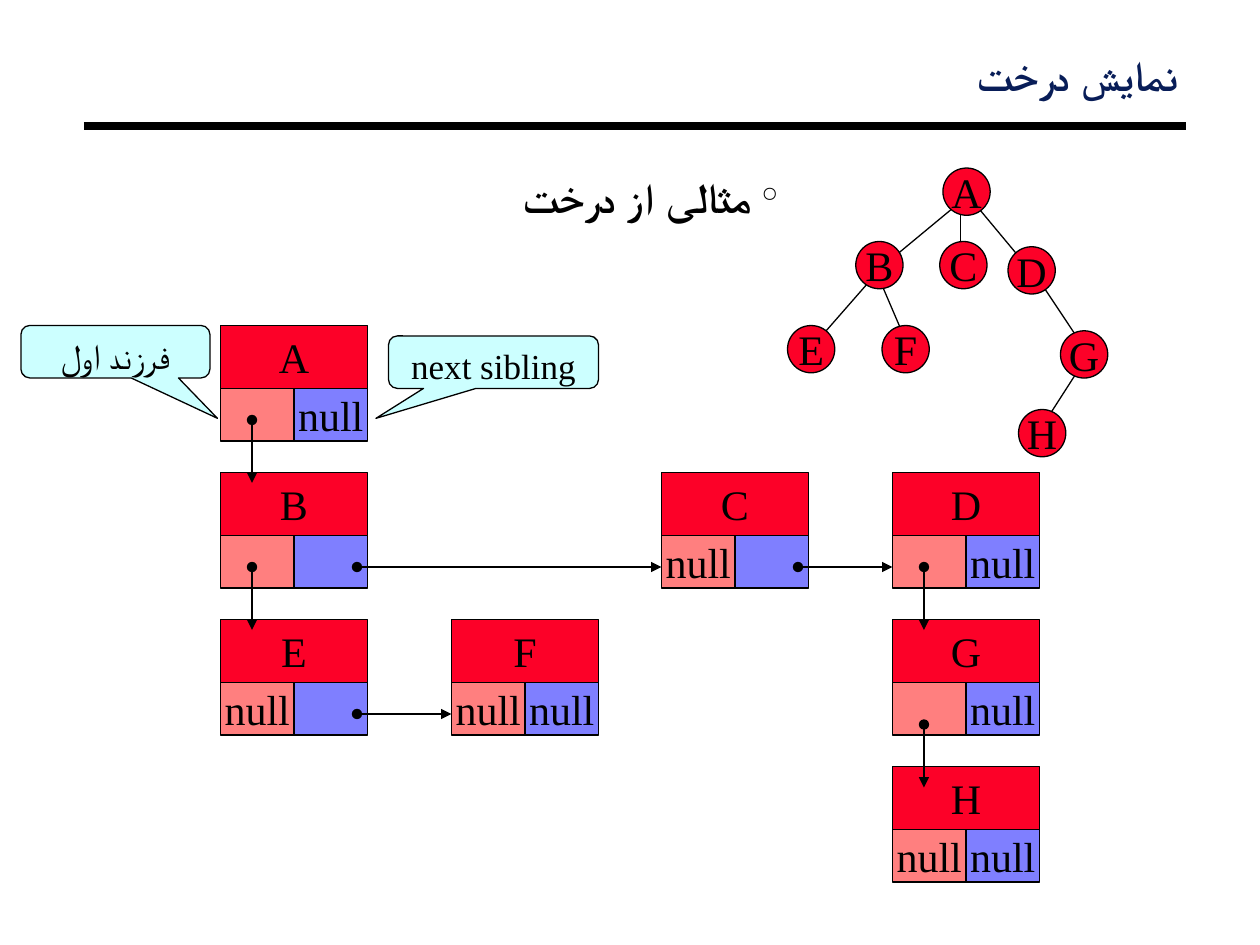
from lxml import etree
from pptx import Presentation
from pptx.dml.color import RGBColor
from pptx.enum.shapes import MSO_CONNECTOR, MSO_SHAPE
from pptx.enum.text import MSO_ANCHOR, PP_ALIGN
from pptx.oxml.ns import qn
from pptx.util import Emu, Pt

LINE = MSO_CONNECTOR.STRAIGHT
RECT, OVAL = MSO_SHAPE.RECTANGLE, MSO_SHAPE.OVAL
BUBBLE = MSO_SHAPE.ROUNDED_RECTANGULAR_CALLOUT
TOP, MIDDLE = MSO_ANCHOR.TOP, MSO_ANCHOR.MIDDLE
CENTER, RIGHT = PP_ALIGN.CENTER, PP_ALIGN.RIGHT

SCALE = 7620  # EMU per px, 120 px to the inch
WIDE, HIGH = 1200, 900
CARD, HEAD, CELL, FOOT = 140, 60, 70, 50
NODE = 45


def px(n):
    return Emu(n * SCALE)


def rgb(code):
    return RGBColor.from_string(code)


def sub(parent, tag, **attrs):
    return etree.SubElement(parent, qn(tag), attrs)


class Board:
    serif, sans = "Times New Roman", "Arial"
    black, navy = "000000", "081D58"
    red, left, right, pale = "FC0128", "FF0000", "0000FF", "CCFFFF"
    thin, thick = 0.75, 4.5

    def __init__(self, slide):
        self.slide = slide

    def font(self, para, size, name, color, bold=False):
        font = para.font
        font.size, font.name, font.bold = Pt(size), name, bold
        font.color.rgb = rgb(color)

    def text(self, x, y, w, h, words, color, align, space, bullet=None):
        """Add a right-to-left line of bold text."""
        box = self.slide.shapes.add_textbox(px(x), px(y), px(w), px(h))
        frame = box.text_frame
        frame.word_wrap = True
        frame.margin_left = frame.margin_right = px(8)
        frame.margin_top = frame.margin_bottom = px(4)
        para = frame.paragraphs[0]
        para.text = words
        para.alignment, para.line_spacing = align, space
        props = para._p.get_or_add_pPr()
        props.set("rtl", "1")
        if bullet:
            props.set("marL", str(px(26)))
            props.set("indent", str(px(-26)))
            sub(sub(props, "a:buClr"), "a:srgbClr", val=self.black)
            sub(props, "a:buChar", char=bullet)
        self.font(para, 24, self.sans, color, True)

    def shape(self, kind, x, y, w, h, fill, words="", size=24,
              anchor=MIDDLE, wrap=False, alpha=None):
        item = self.slide.shapes.add_shape(kind, px(x), px(y), px(w), px(h))
        item.shadow.inherit = False
        item.fill.solid()
        item.fill.fore_color.rgb = rgb(fill)
        if alpha:
            color = item._element.spPr.find(qn("a:solidFill"))[0]
            sub(color, "a:alpha", val=str(alpha * 1000))
        item.line.color.rgb = rgb(self.black)
        item.line.width = Pt(self.thin)
        if words:
            frame = item.text_frame
            frame.word_wrap, frame.vertical_anchor = wrap, anchor
            para = frame.paragraphs[0]
            para.text, para.alignment = words, CENTER
            self.font(para, size, self.serif, self.black)
        return item

    def line(self, x1, y1, x2, y2, width=thin, arrow=False):
        item = self.slide.shapes.add_connector(
            LINE, px(x1), px(y1), px(x2), px(y2))
        item.line.color.rgb = rgb(self.black)
        item.line.width = Pt(width)
        if arrow:
            stroke = item.line._get_or_add_ln()
            sub(stroke, "a:headEnd", type="oval")
            sub(stroke, "a:tailEnd", type="triangle")
        sub(item._element.spPr, "a:effectLst")

    def card(self, x, y, name, child, next_):
        """Add a record: its name over a child cell and a sibling cell."""
        self.shape(RECT, x, y, CARD, HEAD, self.red, name)
        for i, (fill, words) in enumerate(
                ((self.left, child), (self.right, next_))):
            self.shape(RECT, x + i * CELL, y + HEAD, CELL, FOOT, fill,
                       words, alpha=50)

    def bubble(self, x, y, w, words, tip):
        item = self.shape(BUBBLE, x, y, w, 50, self.pale, words, 20, TOP, True)
        for i, value in enumerate((*tip, 0.17)):
            item.adjustments[i] = value


EDGES = [
    (915, 180, 915, 260), (1035, 340, 990, 410), (985, 260, 1025, 320),
    (835, 260, 765, 340), (835, 260, 865, 330), (915, 192, 845, 250),
    (925, 190, 975, 250),
]
NODES = {
    "A": (898, 160), "B": (815, 230), "D": (960, 235), "F": (840, 310),
    "G": (1010, 315), "H": (970, 390), "E": (750, 310), "C": (895, 230),
}
COLS = (210, 430, 630, 850)
ROWS = [310 + 140 * i for i in range(4)]
# name: column, row, first child, next sibling
CARDS = {
    "A": (0, 0, "B", None), "B": (0, 1, "E", "C"), "C": (2, 1, None, "D"),
    "D": (3, 1, "G", None), "E": (0, 2, None, "F"), "F": (1, 2, None, None),
    "G": (3, 2, "H", None), "H": (3, 3, None, None),
}


def main():
    deck = Presentation()
    deck.slide_width, deck.slide_height = px(WIDE), px(HIGH)
    board = Board(deck.slides.add_slide(deck.slide_layouts[6]))

    board.line(80, 120, 1130, 120, board.thick)
    board.text(90, 50, 1040, 60, "نمایش درخت", board.navy, RIGHT, 0.87)
    board.text(110, 150, 1020, 65, "مثالی از درخت", board.black, CENTER, 1.2,
               "°")

    for edge in EDGES:
        board.line(*edge)
    for name, (x, y) in NODES.items():
        board.shape(OVAL, x, y, NODE, NODE, board.red, name)

    for name, (col, row, child, next_) in CARDS.items():
        board.card(COLS[col], ROWS[row], name,
                   "" if child else "null", "" if next_ else "null")
    board.bubble(20, 310, 180, "فرزند اول", (0.54, 1.27))
    board.bubble(370, 320, 200, "next sibling", (-0.56, 1.07))

    for name, (col, row, child, next_) in CARDS.items():
        x, y = COLS[col], ROWS[row] + 90
        if child:
            drop = 10 if name == "G" else 0
            board.line(x + 30, y + drop, x + 30, y + drop + 60, arrow=True)
        if next_:
            board.line(x + 130, y, COLS[CARDS[next_][0]], y, arrow=True)

    deck.save("out.pptx")


if __name__ == "__main__":
    main()
